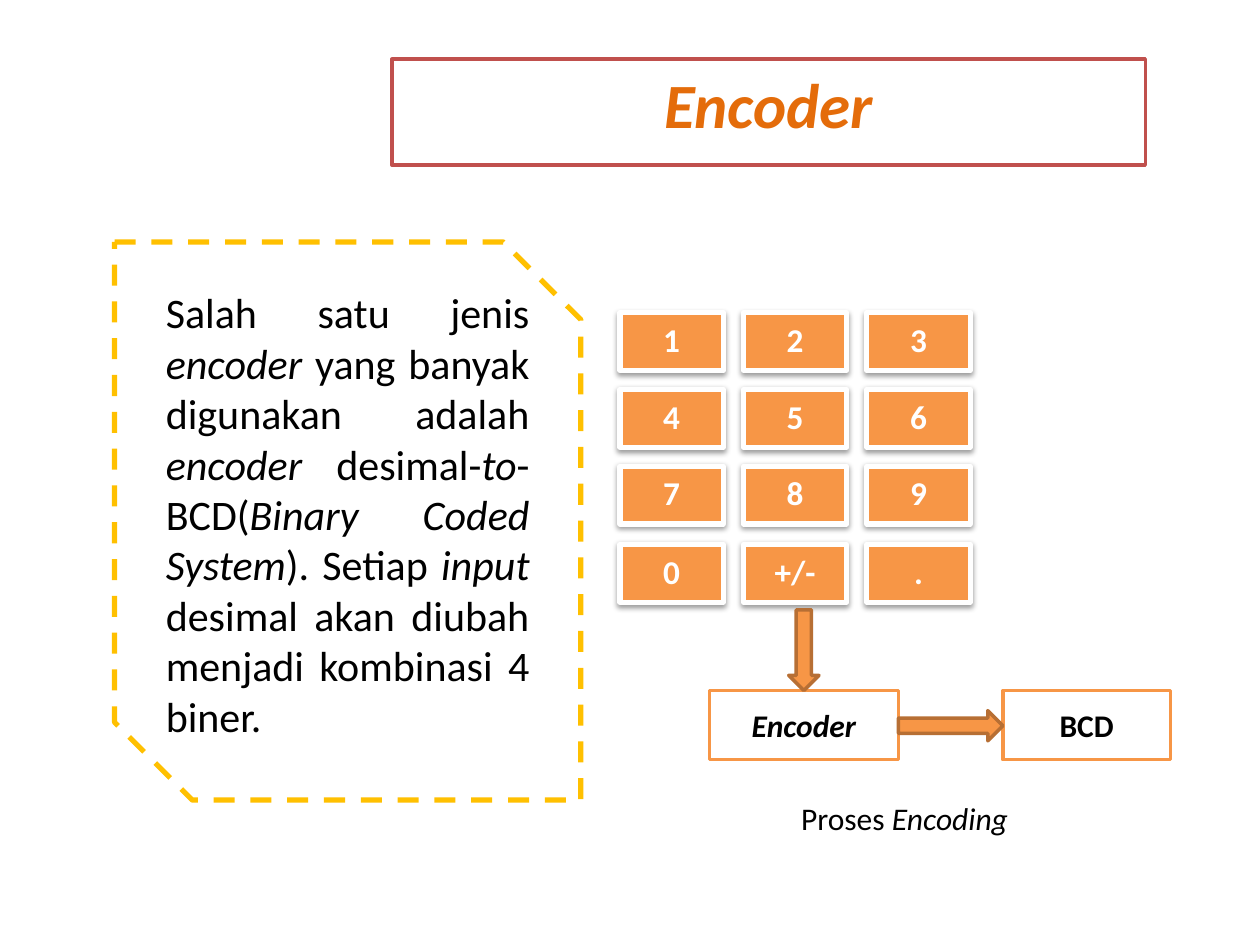
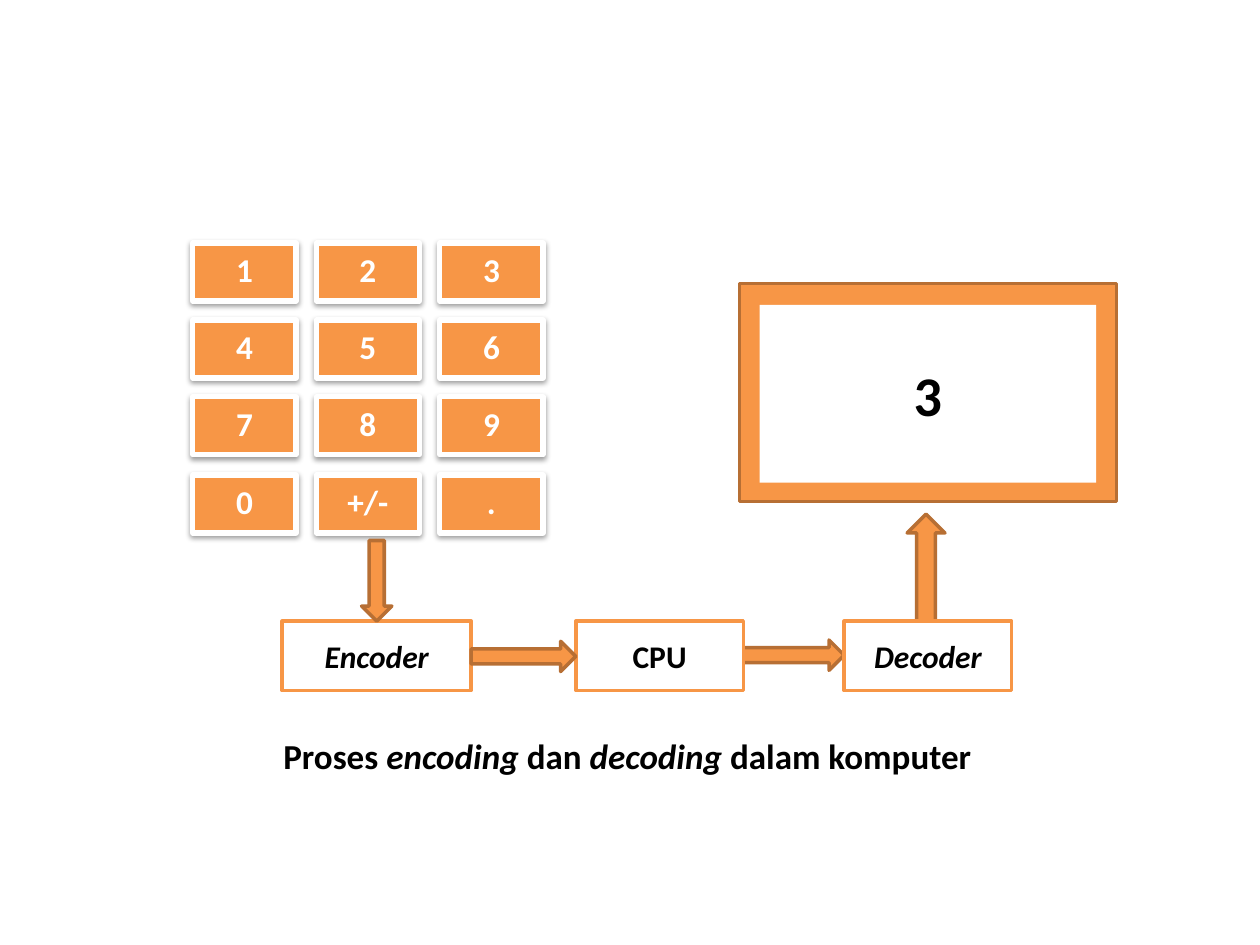
from dataclasses import dataclass

from lxml import etree
from pptx import Presentation
from pptx.dml.color import RGBColor
from pptx.enum.dml import MSO_LINE
from pptx.enum.shapes import MSO_SHAPE as SHAPE
from pptx.enum.text import MSO_ANCHOR as ANCHOR, MSO_AUTO_SIZE, PP_ALIGN as ALIGN
from pptx.oxml.ns import qn
from pptx.util import Pt

PX = 9144  # EMU in one px, 100 px to the inch


@dataclass(frozen=True)
class Theme:
    font: str = "Calibri"
    white: str = "FFFFFF"
    black: str = "000000"
    orange: str = "F79646"
    arrow_edge: str = "B76F34"
    title_text: str = "E46C0A"
    title_edge: str = "C0504D"
    note_edge: str = "FFC000"
    title_size: int = 36
    display_size: int = 32
    body_size: int = 24
    closing_size: int = 20
    key_size: int = 19
    label_size: int = 18


theme = Theme()


def draw(shapes, kind, area, fill=None, edge=None, weight=2):
    """Add a preset shape; area is left, top, width, height in px."""
    shape = shapes.add_shape(kind, *(n * PX for n in area))
    shape.shadow.inherit = False
    if fill:
        shape.fill.solid()
        shape.fill.fore_color.rgb = RGBColor.from_string(fill)
    else:
        shape.fill.background()
    if edge:
        shape.line.color.rgb = RGBColor.from_string(edge)
        shape.line.width = Pt(weight)
    else:
        shape.line.fill.background()
    return shape


def write(shape, text, size, color=theme.black, bold=False,
          align=ALIGN.CENTER, anchor=ANCHOR.MIDDLE, wrap=True):
    """Fill a shape with one paragraph; text between asterisks is italic."""
    frame = shape.text_frame
    frame.word_wrap = wrap
    frame.vertical_anchor = anchor
    para = frame.paragraphs[0]
    para.alignment = align
    para.font.name = theme.font
    para.font.size = Pt(size)
    para.font.bold = bold
    para.font.color.rgb = RGBColor.from_string(color)
    for index, part in enumerate(text.split("*")):
        if part:
            span = para.add_run()
            span.text = part
            span.font.italic = index % 2 == 1
    return para


deck = Presentation()
deck.slide_width, deck.slide_height = 1000 * PX, 750 * PX
encoder_page = deck.slides.add_slide(deck.slide_layouts[5])
computer_page = deck.slides.add_slide(deck.slide_layouts[6])

# Encoder page: title and explanation
title = encoder_page.shapes.title
title.left, title.top, title.width, title.height = (n * PX for n in (311, 47, 598, 84))
title.fill.solid()
title.fill.fore_color.rgb = RGBColor.from_string(theme.white)
title.line.color.rgb = RGBColor.from_string(theme.title_edge)
title.line.width = Pt(2)
title.text_frame.auto_size = MSO_AUTO_SIZE.NONE
write(title, "*Encoder*", theme.title_size, theme.title_text, bold=True, anchor=ANCHOR.TOP)

note = draw(encoder_page.shapes, SHAPE.SNIP_2_DIAG_RECTANGLE, (91, 192, 370, 443),
            edge=theme.note_edge, weight=3)
note.line.dash_style = MSO_LINE.DASH
write(note, "Salah satu jenis *encoder* yang banyak digunakan adalah *encoder *desimal-*to*"
      "-BCD(*Binary Coded System*). Setiap *input *desimal akan diubah menjadi "
      "kombinasi 4 biner.", theme.body_size, align=ALIGN.JUSTIFY, anchor=ANCHOR.TOP)

# Computer page: arrows that lie behind the boxes
for kind, area in ((SHAPE.UP_ARROW, (720, 408, 30, 85)),
                   (SHAPE.RIGHT_ARROW, (587, 508, 83, 24))):
    draw(computer_page.shapes, kind, area, theme.orange, theme.arrow_edge)

# Both pages: keypad -> encoder -> receiver
KEYS = "1 2 3 4 5 6 7 8 9 0 +/- .".split()
for page, left, top, receiver in ((encoder_page, 492, 248, "BCD"),
                                  (computer_page, 153, 193, "CPU")):
    keypad = page.shapes.add_group_shape()
    for index, label in enumerate(KEYS):
        row, column = divmod(index, 3)
        key = draw(keypad.shapes, SHAPE.RECTANGLE,
                   (left + 98 * column, top + row * 184 // 3, 82, 46),
                   theme.orange, theme.white, 3)
        frame = key.text_frame
        frame.margin_left = frame.margin_right = 8 * PX
        frame.margin_top = frame.margin_bottom = 8 * PX
        write(key, label, theme.key_size, theme.white, bold=True).line_spacing = 0.9
        effects = key._element.spPr.find(qn("a:effectLst"))
        shadow = etree.SubElement(effects, qn("a:outerShdw"), blurRad="40000",
                                  dist="20000", dir="5400000", rotWithShape="0")
        shade = etree.SubElement(shadow, qn("a:srgbClr"), val=theme.black)
        etree.SubElement(shade, qn("a:alpha"), val="38000")

    for label, x, width in (("*Encoder*", 71, 150), (receiver, 304, 133)):
        stage = draw(page.shapes, SHAPE.RECTANGLE, (left + x, top + 300, width, 55),
                     theme.white, theme.orange)
        write(stage, label, theme.label_size, bold=True)
    for kind, x, y, width, height in ((SHAPE.DOWN_ARROW, 134, 236, 24, 64),
                                      (SHAPE.RIGHT_ARROW, 221, 316, 83, 24)):
        draw(page.shapes, kind, (left + x, top + y, width, height),
             theme.orange, theme.arrow_edge)

# Computer page: decoder and display
decoder = draw(computer_page.shapes, SHAPE.RECTANGLE, (670, 493, 133, 55),
               theme.white, theme.orange)
write(decoder, "*Decoder*", theme.label_size, bold=True)
draw(computer_page.shapes, SHAPE.RECTANGLE, (587, 225, 299, 173),
     theme.orange, theme.arrow_edge)
screen = draw(computer_page.shapes, SHAPE.RECTANGLE, (603, 242, 267, 141), theme.white)
write(screen, "3", theme.display_size, bold=True)

# Captions
for page, area, text, size, bold in (
        (encoder_page, (626, 629, 186, 40), "Proses *Encoding*", theme.label_size, False),
        (computer_page, (215, 578, 570, 44),
         "Proses *encoding *dan *decoding *dalam komputer", theme.closing_size, True)):
    caption = page.shapes.add_textbox(*(n * PX for n in area))
    write(caption, text, size, bold=bold, align=ALIGN.LEFT, anchor=ANCHOR.TOP, wrap=False)

deck.save("out.pptx")
